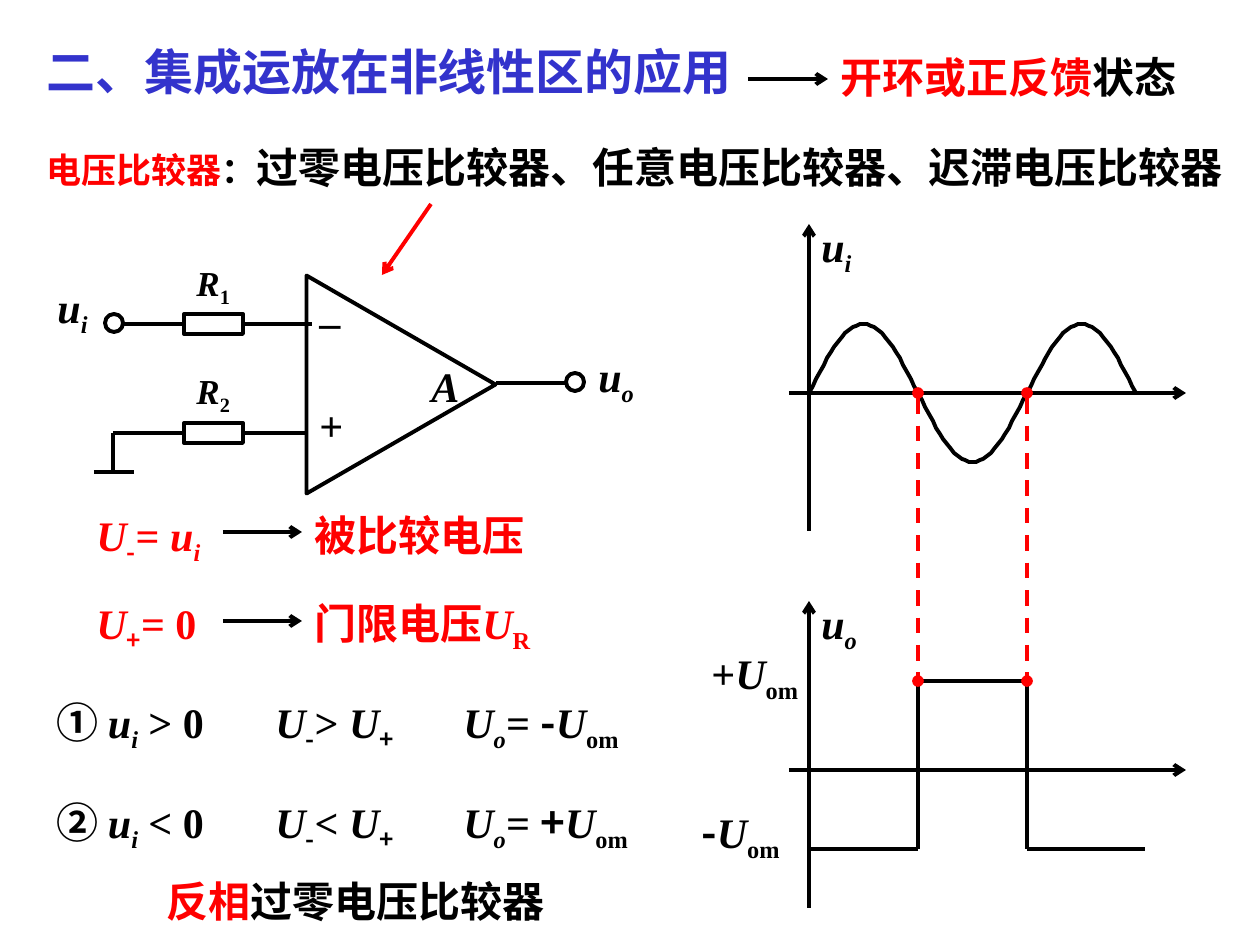
import math
from lxml import etree
from pptx import Presentation
from pptx import util as u
from pptx.dml.color import RGBColor
from pptx.enum import dml, shapes, text
from pptx.oxml import ns

PX = 914400 / 126
COLOURS = {"black": "000000", "red": "FF0000", "blue": "3333CC", "white": "FFFFFF"}
LATIN, CJK = "Times New Roman", "Noto Sans CJK SC"

# Span flags: i italic, s subscript, c CJK font, r red, b blue
TITLE = [("二、集成运放在非线性区的应用", "b")]
U, UI = ("U", "i"), [("u", "i"), ("i", "is")]
UO, OM = [("u", "i"), ("o", "is")], [("U", "i"), ("om", "s")]
RED_U = ("U", "ir")
MINUS, PLUS = ("-", "cs"), ("+", "cs")

TEXTS = [
    (828, 45, 407, 63, 24, [("开环或正反馈", "r"), ("状态", "")]),
    (34, 135, 1226, 63, 24, [("过零电压比较器、任意电压比较器、迟滞电压比较器", "")]),
    (419, 354, 126, 63, 24, [("A", "i")]),
    (586, 344, 115, 71, 24, UO),
    (307, 275, 79, 63, 24, [("_", "")]),
    (307, 393, 79, 63, 24, [("+", "")]),
    (184, 255, 129, 60, 20, [("R", "i"), ("1", "s")]),
    (184, 363, 129, 60, 20, [("R", "i"), ("2", "s")]),
    (45, 275, 168, 71, 24, UI),
    (84, 503, 169, 71, 24,
     [RED_U, ("-", "csr"), ("= ", "r"), ("u", "ir"), ("i", "isr")]),
    (302, 503, 267, 63, 24, [("被比较电压", "r")]),
    (84, 591, 169, 71, 24, [RED_U, ("+", "csr"), ("= 0", "r")]),
    (302, 591, 267, 71, 24, [("门限电压", "r"), RED_U, ("R", "sr")]),
    (809, 214, 149, 71, 24, UI),
    (809, 591, 149, 71, 24, UO),
    (699, 641, 268, 71, 24, [("+", "")] + OM),
    (689, 800, 268, 71, 24, [("-", "c")] + OM),
    (154, 869, 427, 63, 24, [("反相", "r"), ("过零电压比较器", "")]),
]
TOPIC = [("电压比较器", "r"), ("：", "")]
CASES = [("① ", ">", "-"), ("② ", "<", "+")]
CASE_TOP, CASE_STEP, CASE_COLUMNS = 690, 100, [(44, 328), (263, 328), (451, 268)]

WIRES = [(312, 324, 113, 324), (307, 433, 113, 433), (496, 383, 566, 383),
         (113, 433, 113, 472), (94, 472, 134, 472)]
ARROWS = [(748, 79, 828, 79, "black"), (223, 532, 302, 532, "black"),
          (223, 621, 302, 621, "black"), (431, 204, 382, 275, "red")]
RESISTORS = [(184, 314, 59, 20), (184, 423, 59, 20)]
TERMINALS = [(105, 314, 18, 18), (566, 373, 18, 18)]

ORIGIN, HALF_WAVE, AMPLITUDE = 809, 109, 69
INPUT_AXIS, OUTPUT_AXIS = 393, 770
HIGH, LOW, SQUARE_END = 681, 849, 1145
CROSSINGS = [ORIGIN + HALF_WAVE, ORIGIN + 2 * HALF_WAVE]


def px(value):
    return u.Emu(round(value * PX))


def colour(name):
    return RGBColor.from_string(COLOURS[name])


def fill_text(box, size, runs):
    frame = box.text_frame
    frame.word_wrap = True
    frame.auto_size = text.MSO_AUTO_SIZE.NONE
    frame.vertical_anchor = text.MSO_ANCHOR.TOP
    para = frame.paragraphs[0]
    para.alignment = text.PP_ALIGN.LEFT
    for words, flags in runs:
        span = para.add_run()
        span.text = words
        font = span.font
        font.size, font.bold, font.italic = u.Pt(size), True, "i" in flags
        font.color.rgb = colour("red" if "r" in flags else "blue" if "b" in flags else "black")
        font.name = CJK if "c" in flags else LATIN
        props = span._r.get_or_add_rPr()
        etree.SubElement(props, ns.qn("a:ea")).set("typeface", CJK)
        if "s" in flags:
            props.set("baseline", "-25000")
    return para


def add_text(x, y, width, height, size, runs):
    return fill_text(page.shapes.add_textbox(px(x), px(y), px(width), px(height)), size, runs)


def add_line(x1, y1, x2, y2, name="black", head=None, tail=None, dashed=False):
    line = page.shapes.add_connector(
        shapes.MSO_CONNECTOR.STRAIGHT, px(x1), px(y1), px(x2), px(y2))
    line.line.color.rgb = colour(name)
    line.line.width = u.Pt(2.25)
    if dashed:
        line.line.dash_style = dml.MSO_LINE.DASH
    outline = line.line._get_or_add_ln()
    for tag, kind in (("a:headEnd", head), ("a:tailEnd", tail)):
        if kind:
            etree.SubElement(outline, ns.qn(tag)).set("type", kind)
    etree.SubElement(line._element.spPr, ns.qn("a:effectLst"))


def style_outline(shape, filled=True):
    shape.shadow.inherit = False
    if filled:
        shape.fill.solid()
        shape.fill.fore_color.rgb = colour("white")
    else:
        shape.fill.background()
    shape.line.color.rgb = colour("black")
    shape.line.width = u.Pt(2.25)


def add_outline(kind, x, y, width, height):
    shape = page.shapes.add_shape(kind, px(x), px(y), px(width), px(height))
    style_outline(shape)
    return shape


deck = Presentation()
deck.slide_width, deck.slide_height = px(1260), px(945)
page = deck.slides.add_slide(deck.slide_layouts[5])

title = page.shapes.title
title.left, title.top, title.width, title.height = px(34), px(35), px(774), px(72)
fill_text(title, 28, TITLE)

amplifier = add_outline(shapes.MSO_SHAPE.ISOSCELES_TRIANGLE, 292, 290, 218, 189)
amplifier.rotation = 90
for wire in WIRES:
    add_line(*wire)
for resistor in RESISTORS:
    add_outline(shapes.MSO_SHAPE.RECTANGLE, *resistor)
for terminal in TERMINALS:
    add_outline(shapes.MSO_SHAPE.OVAL, *terminal)
for arrow in ARROWS:
    add_line(*arrow, tail="arrow")

for axis in (INPUT_AXIS, OUTPUT_AXIS):
    add_line(789, axis, 1186, axis, tail="arrow")
    add_line(ORIGIN, axis - 169, ORIGIN, axis + 138, head="arrow")

for half in range(3):
    points = [(ORIGIN + HALF_WAVE * (half + step / 30),
               INPUT_AXIS - AMPLITUDE * math.sin(math.pi * (half + step / 30)))
              for step in range(31)]
    builder = page.shapes.build_freeform(*points[0], scale=PX)
    builder.add_line_segments(points[1:], close=False)
    style_outline(builder.convert_to_shape(), filled=False)

rise, fall = CROSSINGS
square = [(ORIGIN, LOW), (rise, LOW), (rise, HIGH), (fall, HIGH), (fall, LOW), (SQUARE_END, LOW)]
for start, end in zip(square, square[1:]):
    add_line(*start, *end)
for crossing in CROSSINGS:
    add_line(crossing, INPUT_AXIS, crossing, HIGH, "red", "oval", "oval", True)

for x, y, width, height, size, runs in TEXTS:
    if (x, y) == (34, 135):
        para = add_text(x, y, width, height, size, TOPIC + runs)
        for span in para.runs[:len(TOPIC)]:
            span.font.size = u.Pt(20)
    else:
        add_text(x, y, width, height, size, runs)

for row, (number, sign, output) in enumerate(CASES):
    cells = [
        [(number, "c")] + UI + [(f" {sign} 0", "")],
        [U, MINUS, (f"{sign} ", ""), U, PLUS],
        [U, ("o", "is"), ("= ", "i"), (output, "c")] + OM,
    ]
    for (x, width), runs in zip(CASE_COLUMNS, cells):
        add_text(x, CASE_TOP + row * CASE_STEP, width, 71, 24, runs)

deck.save("out.pptx")
